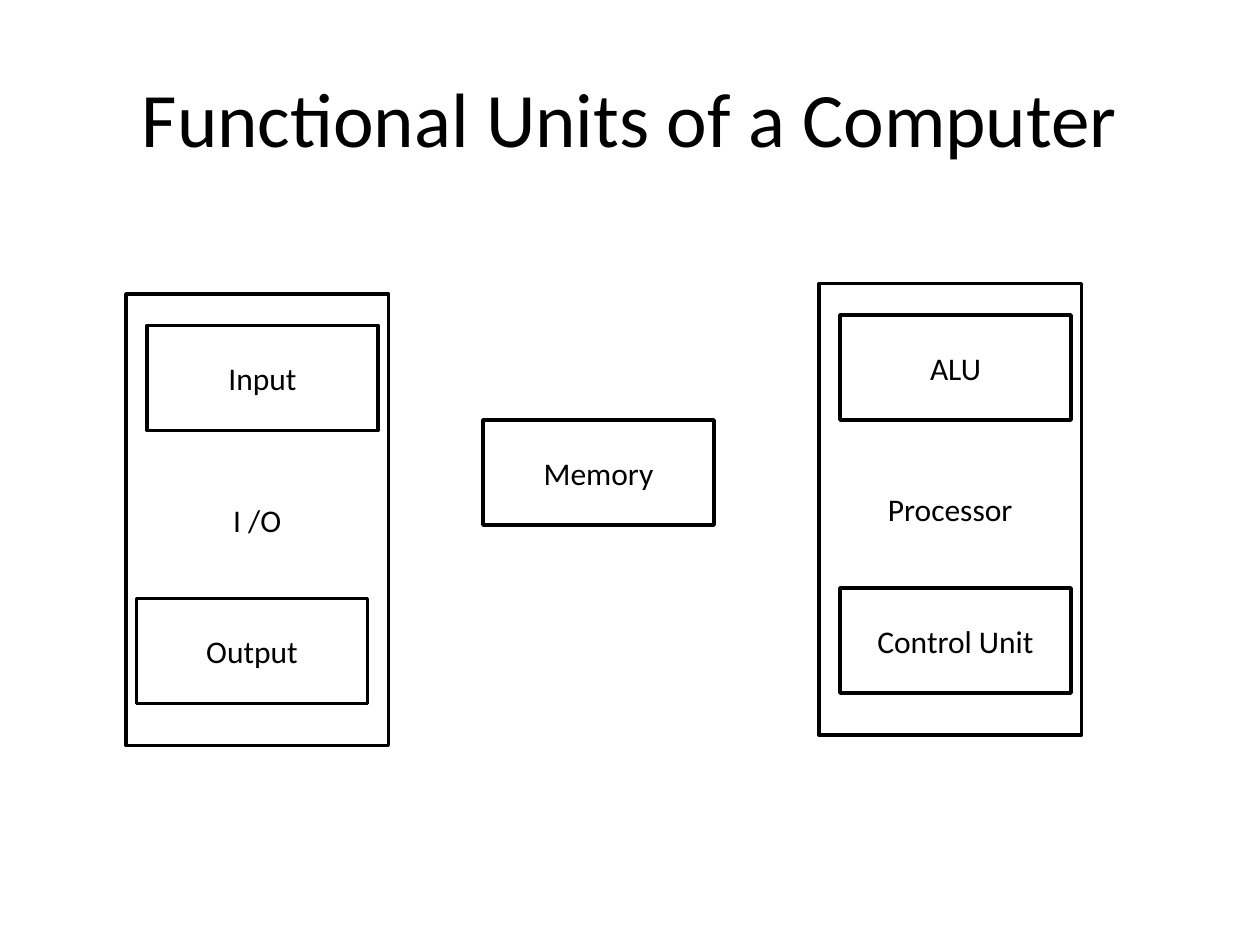
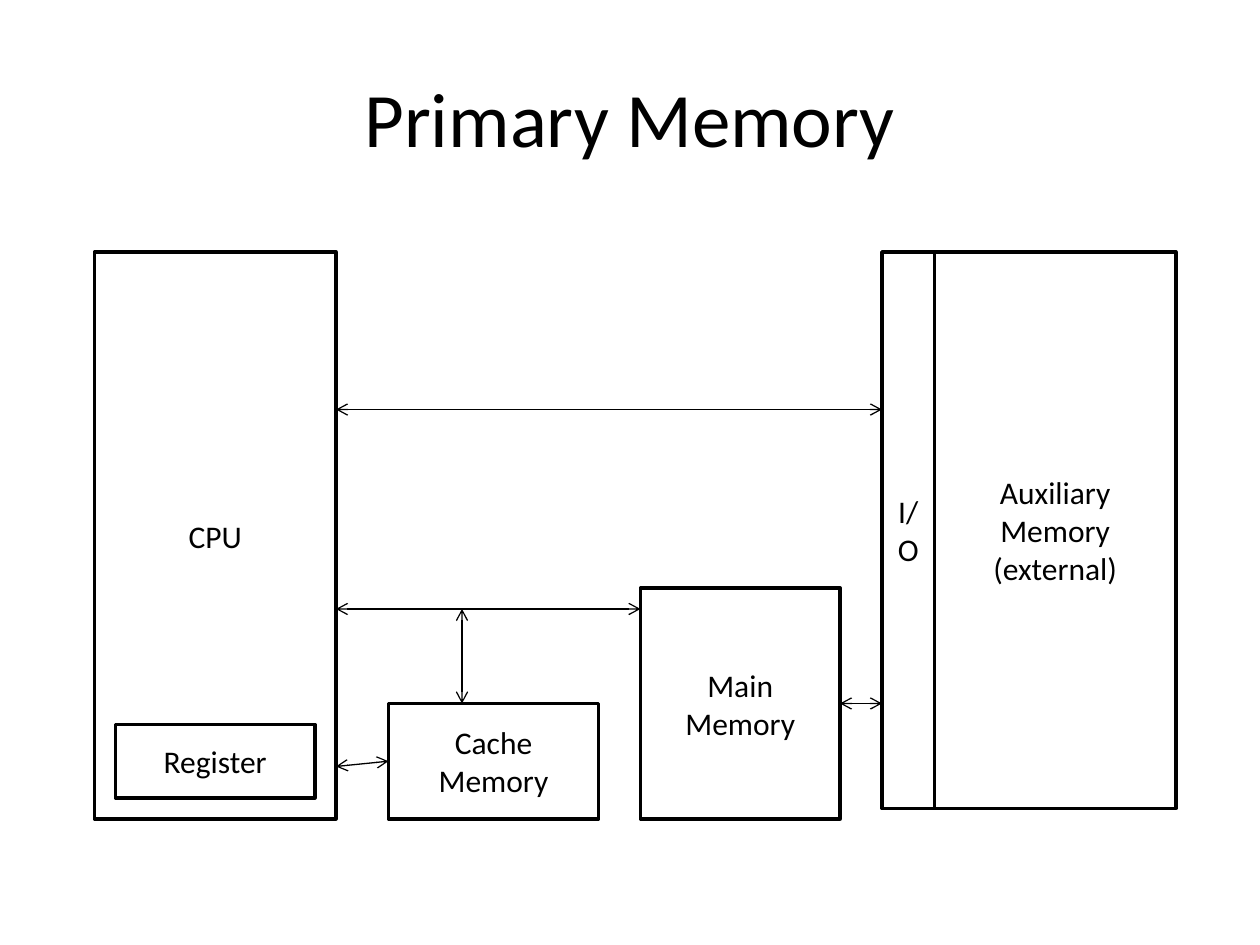
import pptx
import pptx.dml.color
import pptx.enum.shapes
import pptx.enum.text
import pptx.oxml
import pptx.oxml.ns
import pptx.util

# Content: positions are columns and rows of a grid with twelve cells to the inch
UNIT = (22, 10)  # width and height of one functional unit
SLIDES = [
    {
        "title": "Functional Units of a Computer",
        "boxes": [  # label, column, row, width, height
            ("I /O", 12, 28, 25, 43),
            ("Processor", 78, 27, 25, 43),
            ("Memory", 46, 40, *UNIT),
            ("Input", 14, 31, *UNIT),
            ("Output", 13, 57, *UNIT),
            ("ALU", 80, 30, *UNIT),
            ("Control Unit", 80, 56, *UNIT),
        ],
        "arrows": [],
    },
    {
        "title": "Primary Memory",
        "boxes": [
            ("Auxiliary Memory (external)", 89, 24, 23, 53),
            ("Cache Memory", 37, 67, 20, 11),
            ("Main Memory", 61, 56, 19, 22),
            ("CPU", 9, 24, 23, 54),
            ("I/O", 84, 24, 5, 53),
            ("Register", 11, 69, 19, 7),
        ],
        "arrows": [  # start and end, each a grid point or a (label, side) joint
            ((32, 39), (84, 39)),
            ((32, 58), (61, 58)),
            (("Main Memory", 3), (84, 67)),
            ((32, 73), ("Cache Memory", 1)),
            ((44, 58), (44, 67)),
        ],
    },
]

# Shared style
FONT = "Calibri"
INK, PAPER = "000000", "FFFFFF"
TITLE_AREA = (6, 3.6, 108, 15)


def grid(cells):
    return pptx.util.Inches(cells / 12)


def color(value):
    return pptx.dml.color.RGBColor.from_string(value)


def set_text(shape, text, size=18, ink=INK):
    frame = shape.text_frame
    frame.word_wrap = True
    frame.vertical_anchor = pptx.enum.text.MSO_ANCHOR.MIDDLE
    paragraph = frame.paragraphs[0]
    paragraph.alignment = pptx.enum.text.PP_ALIGN.CENTER
    run = paragraph.add_run()
    run.text = text
    run.font.name = FONT
    run.font.size = pptx.util.Pt(size)
    run.font.color.rgb = color(ink)


def add_box(slide, label, *area):
    shape = slide.shapes.add_shape(
        pptx.enum.shapes.MSO_SHAPE.RECTANGLE, *map(grid, area))
    shape.shadow.inherit = False
    shape.fill.solid()
    shape.fill.fore_color.rgb = color(PAPER)
    shape.line.color.rgb = color(INK)
    shape.line.width = pptx.util.Pt(2)
    set_text(shape, label)
    return shape


def add_arrow(slide, shapes, start, end):
    def is_joint(place):
        return place[0] in shapes

    # A joined end takes its place from the shape
    points = [(0, 0) if is_joint(place) else place for place in (start, end)]
    connector = slide.shapes.add_connector(
        pptx.enum.shapes.MSO_CONNECTOR.STRAIGHT,
        *(grid(cells) for point in points for cells in point))
    if is_joint(start):
        connector.begin_connect(shapes[start[0]], start[1])
    if is_joint(end):
        connector.end_connect(shapes[end[0]], end[1])
    connector.line.color.rgb = color(INK)
    connector.line.width = pptx.util.Pt(0.75)

    # Open arrowheads at both ends, no shadow
    line = connector.line._get_or_add_ln()
    for tag in ("a:headEnd", "a:tailEnd"):
        tip = pptx.oxml.parse_xml(
            f'<{tag} {pptx.oxml.ns.nsdecls("a")} type="arrow"/>')
        line.append(tip)
    connector._element.spPr.append(pptx.oxml.parse_xml(
        f'<a:effectLst {pptx.oxml.ns.nsdecls("a")}/>'))


def build_slide(presentation, content):
    slide = presentation.slides.add_slide(presentation.slide_layouts[6])
    title = slide.shapes.add_textbox(*map(grid, TITLE_AREA))
    set_text(title, content["title"], size=44)
    shapes = {box[0]: add_box(slide, *box) for box in content["boxes"]}
    for start, end in content["arrows"]:
        add_arrow(slide, shapes, start, end)


def main():
    presentation = pptx.Presentation()
    presentation.slide_width = grid(120)
    presentation.slide_height = grid(90)
    for content in SLIDES:
        build_slide(presentation, content)
    presentation.save("out.pptx")


if __name__ == "__main__":
    main()
